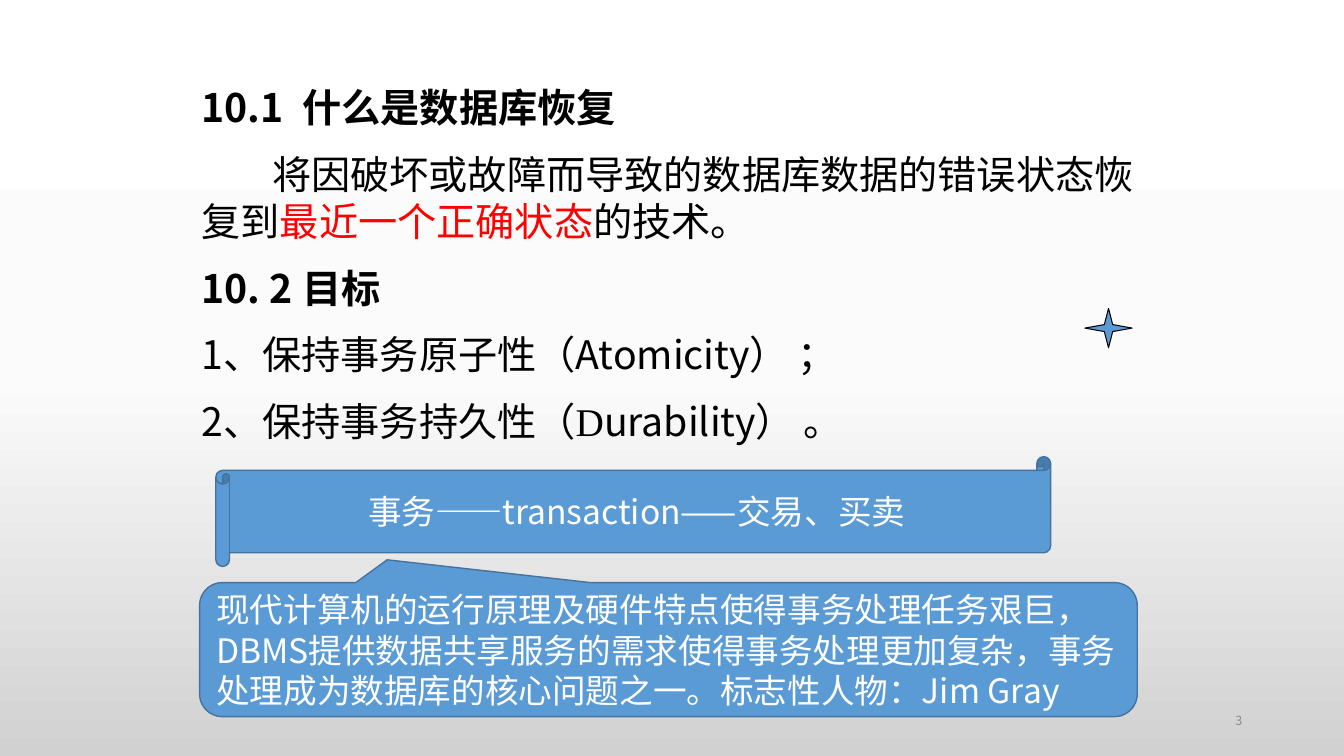
import pptx
import pptx.util
import pptx.dml.color
import pptx.enum.shapes
import pptx.enum.text
import pptx.oxml
import pptx.oxml.ns
from lxml import etree

Inches = pptx.util.Inches
Pt = pptx.util.Pt
RGBColor = pptx.dml.color.RGBColor
PP_ALIGN = pptx.enum.text.PP_ALIGN
MSO_ANCHOR = pptx.enum.text.MSO_ANCHOR
SHAPE = pptx.enum.shapes.MSO_SHAPE

BLACK = RGBColor(0x00, 0x00, 0x00)
WHITE = RGBColor(0xFF, 0xFF, 0xFF)
RED = RGBColor(0xFF, 0x00, 0x00)
GRAY = RGBColor(0x8C, 0x8C, 0x8C)
BLUE = RGBColor(0x5B, 0x9B, 0xD5)
DARK_BLUE = RGBColor(0x43, 0x73, 0x9E)
BACKGROUND_STOPS = [
    (0, WHITE),
    (50, RGBColor(0xFB, 0xFB, 0xFB)),
    (100, RGBColor(0xD1, 0xD1, 0xD1)),
]

SANS = "Noto Sans CJK SC"
SERIF = "Times New Roman"


def qn(tag):
    return pptx.oxml.ns.qn(tag)


def set_background(slide):
    fill = slide.background.fill
    fill.gradient()
    fill.gradient_angle = 270
    stops = slide.background._cSld.find(".//" + qn("a:gsLst"))
    for old_stop in list(stops):
        stops.remove(old_stop)
    for percent, color in BACKGROUND_STOPS:
        stop = etree.SubElement(stops, qn("a:gs"), pos=str(percent * 1000))
        etree.SubElement(stop, qn("a:srgbClr"), val=str(color))


def add_run(paragraph, text, size, color, font=SANS, bold=False):
    run = paragraph.add_run()
    run.text = text
    run.font.size = Pt(size)
    run.font.name = font
    run.font.bold = bold
    run.font.color.rgb = color


def format_body_paragraph(paragraph, first_indent=0.0, tab=None):
    """Remove the bullet, and set the first-line indent and one tab stop."""
    paragraph.space_before = Pt(14)
    paragraph.line_spacing = 1.0
    props = paragraph._p.get_or_add_pPr()
    props.set("marL", "0")
    props.set("indent", str(Inches(first_indent)))
    etree.SubElement(props, qn("a:buNone"))
    if tab:
        tabs = etree.SubElement(props, qn("a:tabLst"))
        etree.SubElement(tabs, qn("a:tab"), pos=str(Inches(tab)), algn="l")


def fill_body(body):
    body.left, body.top = Inches(1.9), Inches(0.78)
    body.width, body.height = Inches(9.6), Inches(3.87)
    frame = body.text_frame
    frame.word_wrap = True
    frame.auto_size = pptx.enum.text.MSO_AUTO_SIZE.NONE
    frame.vertical_anchor = MSO_ANCHOR.TOP

    heading = {"bold": True}
    serif = {"font": SERIF}
    paragraphs = [
        ({"tab": 1.07}, [("10.1\t什么是数据库恢复", heading)]),
        ({"first_indent": 0.7}, [
            ("将因破坏或故障而导致的数据库数据的错误状态恢复到", serif),
            ("最近一个正确状态", {"font": SERIF, "color": RED}),
            ("的技术。", serif),
        ]),
        ({"tab": 1.17}, [("10. 2\t目标", heading)]),
        ({}, [("1", {}), ("、保持事务原子性（", serif),
              ("Atomicity", {}), ("） ；", serif)]),
        ({}, [("2", {}), ("、保持事务持久性（D", serif),
              ("urability", {}), ("） 。", serif)]),
    ]
    for index, (layout, runs) in enumerate(paragraphs):
        paragraph = frame.paragraphs[0] if index == 0 else frame.add_paragraph()
        format_body_paragraph(paragraph, **layout)
        for text, style in runs:
            add_run(paragraph, text, **{"size": 28, "color": BLACK, **style})


def add_blue_shape(slide, preset, box, adjustments=(), line=DARK_BLUE, width=1):
    shape = slide.shapes.add_shape(preset, *map(Inches, box))
    shape.shadow.inherit = False
    shape.fill.solid()
    shape.fill.fore_color.rgb = BLUE
    shape.line.color.rgb = line
    shape.line.width = Pt(width)
    for index, value in enumerate(adjustments):
        shape.adjustments[index] = value
    return shape


def write_line(shape, text, align, size=24, color=WHITE):
    """Put one vertically centred paragraph in the shape."""
    frame = shape.text_frame
    frame.word_wrap = True
    frame.vertical_anchor = MSO_ANCHOR.MIDDLE
    paragraph = frame.paragraphs[0]
    paragraph.alignment = align
    add_run(paragraph, text, size, color)


def main():
    presentation = pptx.Presentation()
    presentation.slide_width = Inches(13.33)
    presentation.slide_height = Inches(7.5)
    slide = presentation.slides.add_slide(presentation.slide_layouts[1])
    set_background(slide)

    title = slide.shapes.title
    title.element.getparent().remove(title.element)
    fill_body(slide.placeholders[1])

    add_blue_shape(slide, SHAPE.STAR_4_POINT, (10.76, 3.06, 0.47, 0.39),
                   [0.125], line=BLACK, width=0.75)

    page_number = slide.shapes.add_textbox(*map(Inches, (9.42, 6.95, 3, 0.4)))
    write_line(page_number, "3", PP_ALIGN.RIGHT, size=9, color=GRAY)

    scroll = add_blue_shape(slide, SHAPE.HORIZONTAL_SCROLL,
                            (2.14, 4.53, 8.28, 1.09))
    write_line(scroll, "事务——transaction——交易、买卖", PP_ALIGN.CENTER)

    callout = add_blue_shape(slide, SHAPE.ROUNDED_RECTANGULAR_CALLOUT,
                             (1.98, 5.78, 9.3, 1.33), [-0.3, -0.67, 0.17])
    write_line(
        callout,
        "现代计算机的运行原理及硬件特点使得事务处理任务艰巨，"
        "DBMS提供数据共享服务的需求使得事务处理更加复杂，"
        "事务处理成为数据库的核心问题之一。标志性人物：Jim Gray",
        PP_ALIGN.LEFT,
    )

    presentation.save("out.pptx")


if __name__ == "__main__":
    main()
